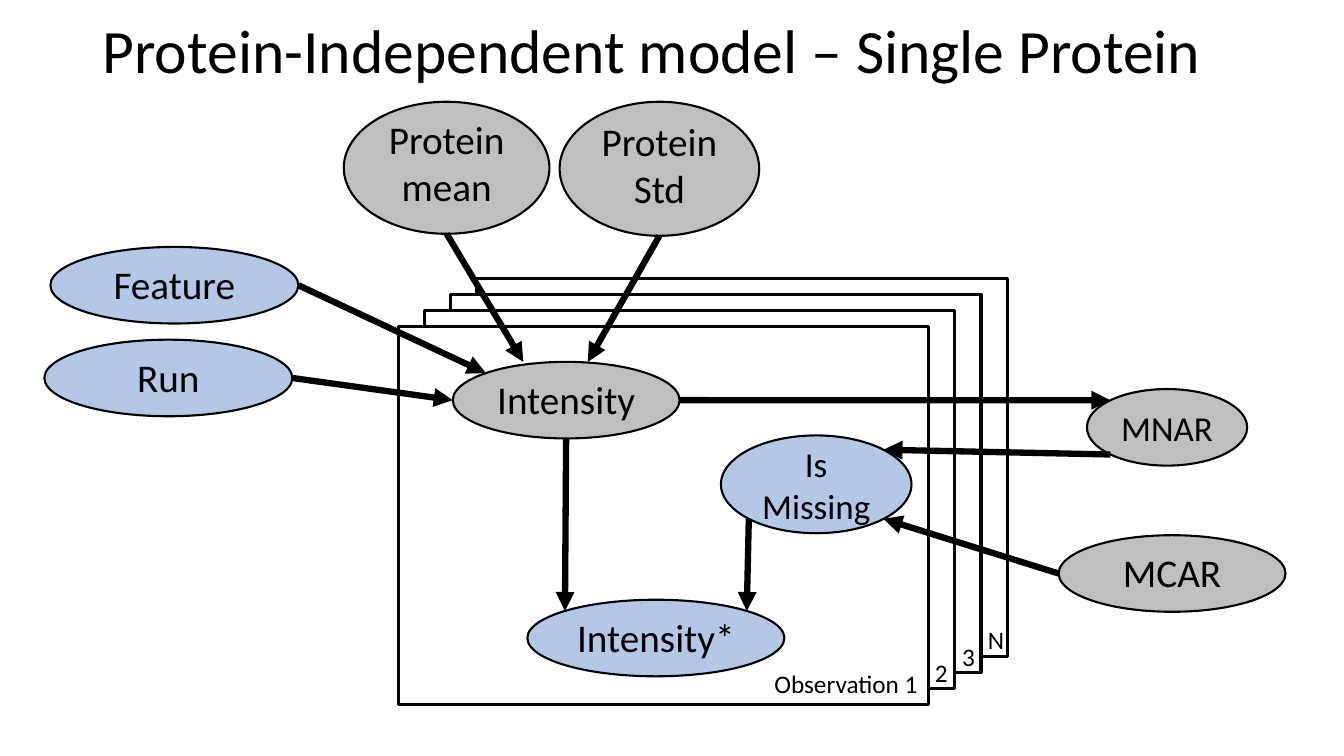
from math import cos, pi, sin

from pptx import Presentation
from pptx.dml.color import RGBColor
from pptx.enum import shapes, text
from pptx.oxml.xmlchemy import OxmlElement
from pptx.util import Inches, Pt

BLACK, WHITE, GREY, BLUE = "000000", "FFFFFF", "BFBFBF", "B4C7E7"
MID, LOW = text.MSO_ANCHOR.MIDDLE, text.MSO_ANCHOR.BOTTOM
# Connection sites of an ellipse, counter-clockwise from the top
TOP, TL, LEFT, BL, BOTTOM, BR, RIGHT, TR = range(8)

# name: left, top, width, height, fill, font size, anchor
NODES = {
    "Feature": (0.5, 2.45, 2.46, 0.76, BLUE, 28, LOW),
    "Run": (0.44, 3.37, 2.46, 0.76, BLUE, 28, LOW),
    "Intensity": (4.49, 3.59, 2.25, 0.76, GREY, 28, LOW),
    "Intensity*": (5.23, 5.95, 2.55, 0.76, BLUE, 28, LOW),
    "MNAR": (10.78, 3.86, 1.59, 0.76, GREY, 25, MID),
    "MCAR": (10.5, 5.31, 2.25, 0.76, GREY, 28, LOW),
    "Is Missing": (7.15, 4.32, 1.89, 0.97, BLUE, 25, MID),
    "Protein mean": (3.41, 1.01, 2.04, 1.31, GREY, 28, LOW),
    "Protein Std": (5.55, 1.01, 1.98, 1.33, GREY, 28, LOW),
}

# Each end is a (node, site) pair or a free (x, y) point
ARROWS = [
    (("Protein mean", BOTTOM), (5.19, 3.59)),
    (("Protein Std", BOTTOM), (5.83, 3.59)),
    (("Feature", RIGHT), ("Intensity", TL)),
    (("Run", RIGHT), ("Intensity", LEFT)),
    (("Intensity", RIGHT), ("MNAR", TL)),
    (("Intensity", BOTTOM), ("Intensity*", TL)),
    (("MNAR", BL), ("Is Missing", TR)),
    (("MCAR", LEFT), ("Is Missing", BR)),
    (("Is Missing", BL), ("Intensity*", TR)),
]

LABELS = [
    ("Observation 1", 7.53, 6.58, 1.72),
    ("2", 9.17, 6.47, 0.33),
    ("3", 9.44, 6.31, 0.33),
    ("N", 9.7, 6.14, 0.33),
]


def color(code):
    return RGBColor.from_string(code)


def write(shape, words, size, anchor=text.MSO_ANCHOR.TOP,
          align=text.PP_ALIGN.CENTER, wrap=True, space=1.0, side=0.1):
    frame = shape.text_frame
    frame.word_wrap = wrap
    frame.vertical_anchor = anchor
    frame.margin_left = frame.margin_right = Inches(side)
    para = frame.paragraphs[0]
    para.alignment = align
    para.line_spacing = space
    run = para.add_run()
    run.text = words
    run.font.name = "Calibri"
    run.font.size = Pt(size)
    run.font.color.rgb = color(BLACK)


def add_box(slide, kind, box, fill, width):
    shape = slide.shapes.add_shape(kind, *map(Inches, box))
    shape.shadow.inherit = False
    shape.fill.solid()
    shape.fill.fore_color.rgb = color(fill)
    shape.line.color.rgb = color(BLACK)
    shape.line.width = Pt(width)
    return shape


def add_label(slide, words, box, size, **style):
    write(slide.shapes.add_textbox(*map(Inches, box)), words, size, **style)


def add_node(slide, name):
    *box, fill, size, anchor = NODES[name]
    node = add_box(slide, shapes.MSO_SHAPE.OVAL, box, fill, 1.5)
    write(node, name, size, anchor=anchor, side=0.08)
    return node


def locate(end):
    """Return the point, in inches, of a site or a free end."""
    name, site = end
    if name not in NODES:
        return end
    left, top, width, height = NODES[name][:4]
    turn = site * pi / 4
    return (left + width / 2 * (1 - sin(turn)),
            top + height / 2 * (1 - cos(turn)))


def add_arrow(slide, nodes, start, end):
    points = map(Inches, (*locate(start), *locate(end)))
    arrow = slide.shapes.add_connector(shapes.MSO_CONNECTOR.STRAIGHT, *points)
    arrow.line.color.rgb = color(BLACK)
    arrow.line.width = Pt(4.5)
    head = OxmlElement("a:tailEnd")
    head.set("type", "triangle")
    arrow.line._get_or_add_ln().append(head)
    arrow._element.spPr.append(OxmlElement("a:effectLst"))
    # Oval sites go beyond the four that begin_connect can place
    for tag, (name, site) in (("a:stCxn", start), ("a:endCxn", end)):
        if name in nodes:
            joint = OxmlElement(tag)
            joint.set("id", str(nodes[name].shape_id))
            joint.set("idx", str(site))
            arrow._element.nvCxnSpPr.cNvCxnSpPr.append(joint)


def main():
    deck = Presentation()
    deck.slide_width, deck.slide_height = Inches(13.33), Inches(7.5)
    slide = deck.slides.add_slide(deck.slide_layouts[6])

    add_label(slide, "Protein-Independent model – Single Protein",
              (0.92, 0.08, 11.5, 0.91), 44, anchor=MID,
              align=text.PP_ALIGN.LEFT, space=0.9)
    for step in (3, 2, 1, 0):
        plate = (3.95 + 0.26 * step, 3.24 - 0.16 * step, 5.26, 3.75)
        add_box(slide, shapes.MSO_SHAPE.RECTANGLE, plate, WHITE, 2.25)
    nodes = {name: add_node(slide, name) for name in NODES}
    for start, end in ARROWS:
        add_arrow(slide, nodes, start, end)
    for words, left, top, width in LABELS:
        add_label(slide, words, (left, top, width, 0.4), 18, wrap=False)

    deck.save("out.pptx")


if __name__ == "__main__":
    main()
